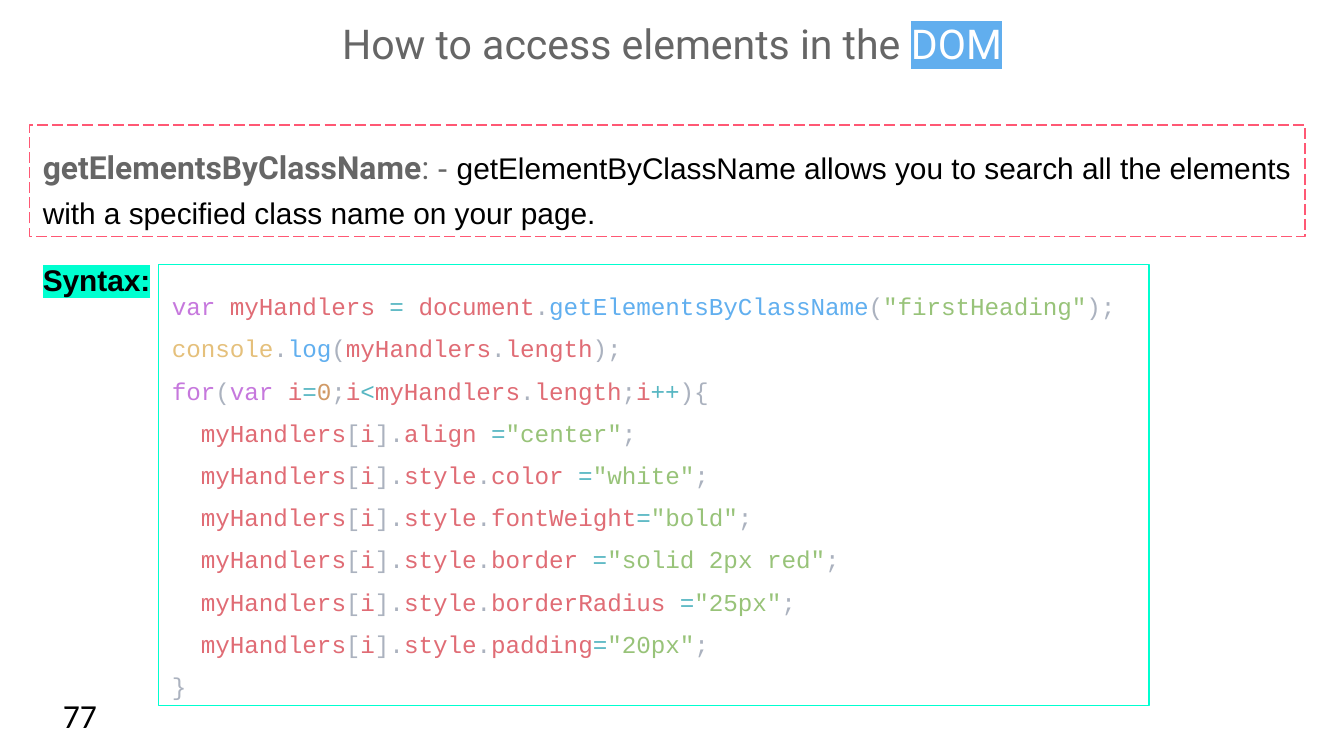
from dataclasses import dataclass

from lxml import etree
from pptx import Presentation
from pptx.dml.color import RGBColor
from pptx.enum.dml import MSO_LINE
from pptx.enum.shapes import MSO_SHAPE
from pptx.enum.text import MSO_ANCHOR, PP_ALIGN
from pptx.oxml.ns import qn
from pptx.util import Pt

PX = 4572  # 200 px to the inch
RECT = MSO_SHAPE.RECTANGLE
LONG_DASH = MSO_LINE.LONG_DASH
TOP = MSO_ANCHOR.TOP
LEFT, CENTER = PP_ALIGN.LEFT, PP_ALIGN.CENTER


@dataclass(frozen=True)
class Theme:
    black: str = "000000"
    white: str = "FFFFFF"
    gray: str = "666666"
    blue: str = "61AEEE"
    pink: str = "FF5874"
    aqua: str = "00FFD0"
    # Syntax colours
    keyword: str = "C678DD"
    name: str = "E06C75"
    operator: str = "56B6C2"
    mark: str = "ABB2BF"
    function: str = "61AFEF"
    string: str = "98C379"
    builtin: str = "E5C07B"
    number: str = "D19A66"
    # Type sizes
    title: int = 22
    term: int = 17
    body: int = 16
    code: int = 13
    page: int = 18
    # Fonts
    heading_font: str = "Roboto"
    body_font: str = "Arial"
    code_font: str = "Courier New"
    page_font: str = "Calibri"


T = Theme()


class SlideBuilder:
    def __init__(self, slide, theme):
        self.s = slide
        self.t = theme

    def run(self, p, text, font, size, color, bold=False, highlight=None):
        r = p.add_run()
        r.text = text
        r.font.size = Pt(size)
        r.font.bold = bold
        r.font.color.rgb = RGBColor.from_string(color)
        if highlight:
            hl = etree.SubElement(r.font._element, qn("a:highlight"))
            etree.SubElement(hl, qn("a:srgbClr"), val=highlight)
        r.font.name = font

    def fill_text(self, sp, lines, spacing=None, align=LEFT, inset_y=20):
        tf = sp.text_frame
        tf.word_wrap = True
        tf.vertical_anchor = TOP
        tf.margin_left = tf.margin_right = 20 * PX
        tf.margin_top = tf.margin_bottom = inset_y * PX
        for i, runs in enumerate(lines):
            p = tf.add_paragraph() if i else tf.paragraphs[0]
            p.alignment = align
            p.line_spacing = spacing
            for run in runs:
                self.run(p, *run)

    def text(self, box, lines, **layout):
        sp = self.s.shapes.add_textbox(*(v * PX for v in box))
        self.fill_text(sp, lines, **layout)

    def frame(self, box, color, lines, dash=None, **layout):
        sp = self.s.shapes.add_shape(RECT, *(v * PX for v in box))
        sp.shadow.inherit = False
        sp.fill.background()
        sp.line.color.rgb = RGBColor.from_string(color)
        sp.line.width = Pt(0.75)
        if dash:
            sp.line.dash_style = dash
        self.fill_text(sp, lines, **layout)

    def code(self, box, lines):
        t = self.t
        styled = [[(text, t.code_font, t.code, color) for text, color in line]
                  for line in lines]
        self.frame(box, t.aqua, styled, spacing=1.45)


def assignment(target, equals, value):
    """Tokens of one indented line that sets a property of myHandlers[i]."""
    line = [("  ", T.mark), ("myHandlers", T.name), ("[", T.mark),
            ("i", T.name), ("]", T.mark)]
    for part in target.split("."):
        line += [(".", T.mark), (part, T.name)]
    return line + [(equals, T.operator), (f'"{value}"', T.string), (";", T.mark)]


LENGTH = [("myHandlers", T.name), (".", T.mark), ("length", T.name)]
ASSIGNMENTS = [
    ("align", " =", "center"),
    ("style.color", " =", "white"),
    ("style.fontWeight", "=", "bold"),
    ("style.border", " =", "solid 2px red"),
    ("style.borderRadius", " =", "25px"),
    ("style.padding", "=", "20px"),
]
CODE = [
    [("var ", T.keyword), ("myHandlers ", T.name), ("= ", T.operator),
     ("document", T.name), (".", T.mark), ("getElementsByClassName", T.function),
     ("(", T.mark), ('"firstHeading"', T.string), (");", T.mark)],
    [("console", T.builtin), (".", T.mark), ("log", T.function), ("(", T.mark),
     *LENGTH, (");", T.mark)],
    [("for", T.keyword), ("(", T.mark), ("var ", T.keyword), ("i", T.name),
     ("=", T.operator), ("0", T.number), (";", T.mark), ("i", T.name),
     ("<", T.operator), *LENGTH, (";", T.mark), ("i", T.name),
     ("++", T.operator), ("){", T.mark)],
    *(assignment(*a) for a in ASSIGNMENTS),
    [("}", T.mark)],
]


def main():
    prs = Presentation()
    prs.slide_width, prs.slide_height = 2000 * PX, 1125 * PX
    b = SlideBuilder(prs.slides.add_slide(prs.slide_layouts[6]), T)

    # Page number
    b.text((74, 1024, 466, 60), [[("77", T.page_font, T.page, T.black)]], inset_y=10)

    # Title
    b.text((0, 0, 2000, 114), [[
        ("How to access elements in the ", T.heading_font, T.title, T.gray),
        ("DOM", T.heading_font, T.title, T.white, False, T.blue),
    ]], spacing=1.1, align=CENTER)

    # Definition
    b.frame((44, 186, 1898, 166), T.pink, [[
        ("getElementsByClassName", T.heading_font, T.term, T.gray, True),
        (": ", T.heading_font, T.term, T.gray),
        ("- ", T.body_font, T.term, T.gray),
        ("getElementByClassName allows you to search all the elements "
         "with a specified class name on your page.", T.body_font, T.body, T.black),
    ]], dash=LONG_DASH, spacing=1.25)

    # Syntax label and code
    b.text((44, 370, 656, 94),
           [[("Syntax:", T.body_font, T.body, T.black, True, T.aqua)]])
    b.code((236, 394, 1474, 656), CODE)

    prs.save("out.pptx")


if __name__ == "__main__":
    main()
